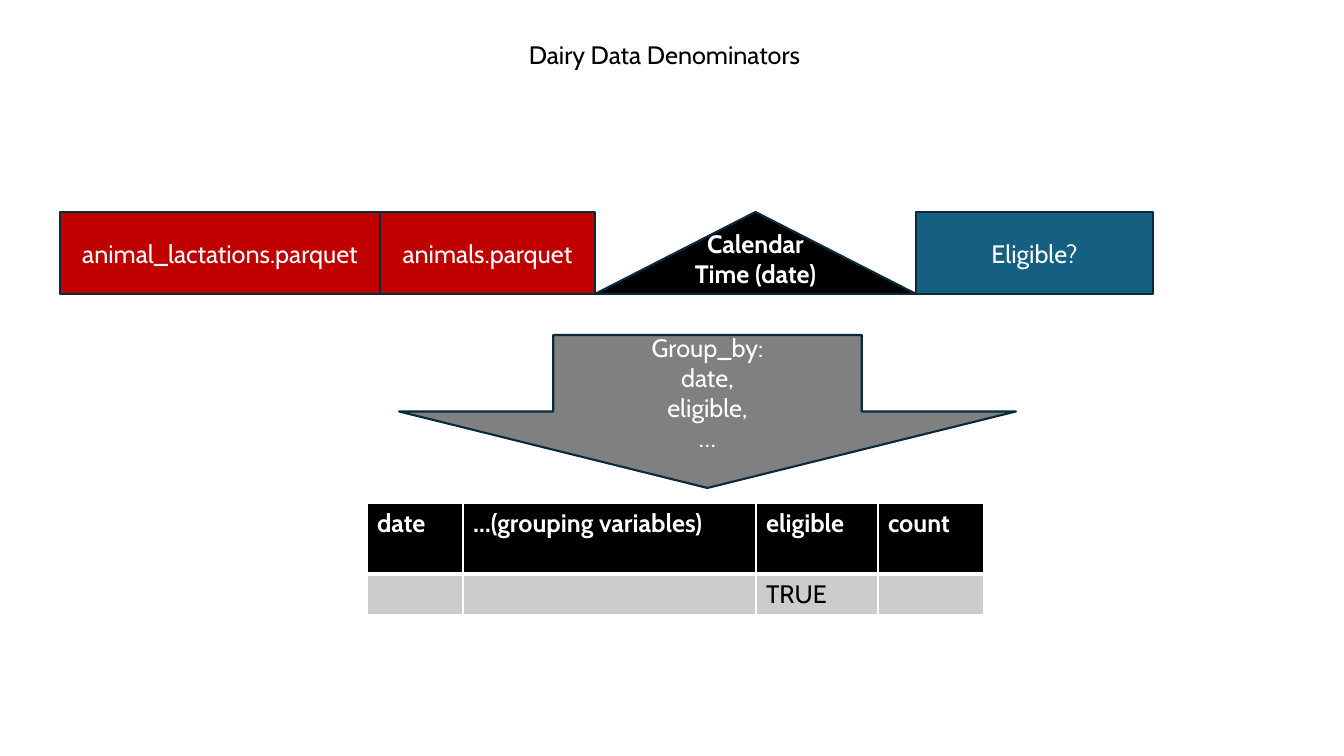
from dataclasses import dataclass
from itertools import accumulate

from lxml import etree
from pptx import Presentation, util as u
from pptx.dml.color import RGBColor
from pptx.enum import shapes, text
from pptx.oxml import ns

PX_PER_INCH = 100.8


@dataclass(frozen=True)
class Theme:
    font: str = "Cabin"
    size: int = 18
    outline_width: float = 1.5
    outline: str = "092A39"
    light: str = "FFFFFF"
    dark: str = "000000"
    source: str = "C00000"
    eligible: str = "156082"
    group: str = "808080"
    table_body: str = "CCCCCC"


THEME = Theme()


def px(length):
    return u.Inches(length / PX_PER_INCH)


def rgb(value):
    return RGBColor.from_string(value)


def write(frame, words, color, bold=False, align=text.PP_ALIGN.CENTER):
    frame.text = words
    for paragraph in frame.paragraphs:
        paragraph.alignment = align
        for run in paragraph.runs:
            font = run.font
            font.name, font.size, font.bold = THEME.font, u.Pt(THEME.size), bold
            font.color.rgb = rgb(color)


def add_title(slide, words, left, top, width, height):
    title = slide.shapes.title
    title.left, title.top, title.width, title.height = map(px, (left, top, width, height))
    frame = title.text_frame
    write(frame, words, THEME.dark)
    frame.auto_size = text.MSO_AUTO_SIZE.NONE
    frame.word_wrap = False
    frame.vertical_anchor = text.MSO_ANCHOR.TOP


def add_block(slide, kind, box, fill, words, bold=False, anchor=text.MSO_ANCHOR.MIDDLE):
    block = slide.shapes.add_shape(kind, *map(px, box))
    block.shadow.inherit = False
    block.fill.solid()
    block.fill.fore_color.rgb = rgb(fill)
    block.line.color.rgb = rgb(THEME.outline)
    block.line.width = u.Pt(THEME.outline_width)
    block.text_frame.word_wrap = True
    block.text_frame.vertical_anchor = anchor
    write(block.text_frame, words, THEME.light, bold)


def add_borders(cell, widths):
    properties = cell._tc.get_or_add_tcPr()
    for side, width in widths.items():
        border = etree.SubElement(properties, ns.qn(f"a:ln{side}"), w=str(u.Pt(width)))
        fill = etree.SubElement(border, ns.qn("a:solidFill"))
        etree.SubElement(fill, ns.qn("a:srgbClr"), val=THEME.light)


def add_count_table(slide, left, top, columns, rows, content):
    box = map(px, (left, top, sum(columns), sum(rows)))
    table = slide.shapes.add_table(len(rows), len(columns), *box).table
    for column, width in zip(table.columns, columns):
        column.width = px(width)
    for row_number, (row, height) in enumerate(zip(table.rows, rows)):
        row.height = px(height)
        header = row_number == 0
        # The thick rule separates the header from the body
        borders = {"L": 1, "R": 1, "T": 1 if header else 3, "B": 3 if header else 1}
        for cell, words in zip(row.cells, content[row_number]):
            add_borders(cell, borders)
            cell.fill.solid()
            cell.fill.fore_color.rgb = rgb(THEME.dark if header else THEME.table_body)
            write(cell.text_frame, words, THEME.light if header else THEME.dark,
                  header, text.PP_ALIGN.LEFT)


def main():
    deck = Presentation()
    deck.slide_width, deck.slide_height = px(1344), px(756)
    slide = deck.slides.add_slide(deck.slide_layouts[5])
    add_title(slide, "Dairy Data Denominators", 516, 34, 297, 40)

    # Sources, calendar time and eligibility, side by side
    rectangle = shapes.MSO_SHAPE.RECTANGLE
    triangle = shapes.MSO_SHAPE.ISOSCELES_TRIANGLE
    middle, bottom = text.MSO_ANCHOR.MIDDLE, text.MSO_ANCHOR.BOTTOM
    inputs = [
        (320, rectangle, THEME.source, "animal_lactations.parquet", False, middle),
        (215, rectangle, THEME.source, "animals.parquet", False, middle),
        (321, triangle, THEME.dark, "Calendar\nTime (date)", True, bottom),
        (237, rectangle, THEME.eligible, "Eligible?", False, middle),
    ]
    lefts = accumulate((width for width, *_ in inputs), initial=60)
    for left, (width, kind, fill, words, bold, anchor) in zip(lefts, inputs):
        add_block(slide, kind, (left, 212, width, 82), fill, words, bold, anchor)

    # Grouping step
    add_block(slide, shapes.MSO_SHAPE.DOWN_ARROW, (399, 335, 617, 153), THEME.group,
              "Group_by:\ndate,\neligible,\n…")

    # Resulting counts
    add_count_table(slide, 367, 503, (96, 293, 122, 106), (71, 41), [
        ("date", "…(grouping variables)", "eligible", "count"),
        ("", "", "TRUE", ""),
    ])
    deck.save("out.pptx")


if __name__ == "__main__":
    main()
